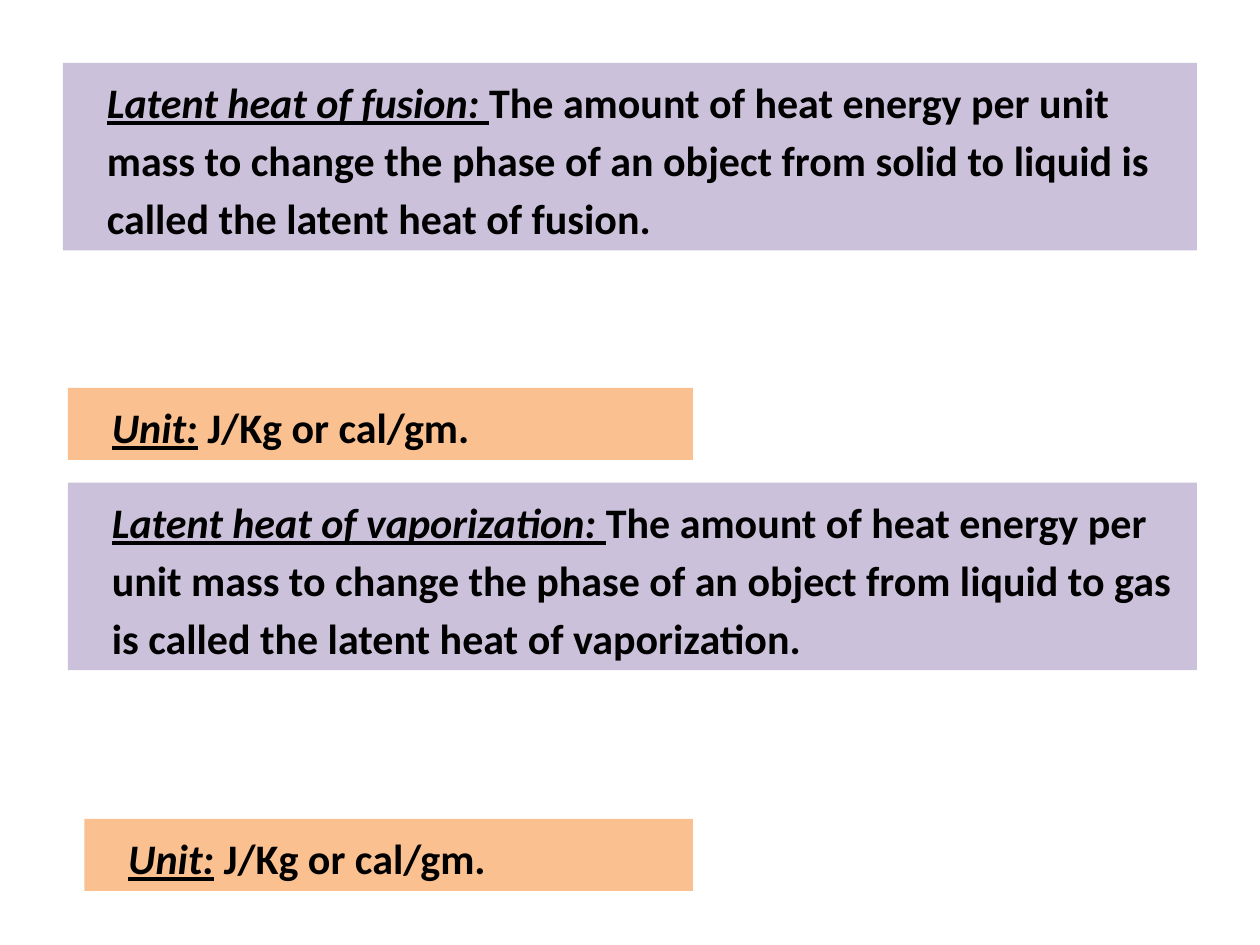
from typing import NamedTuple

from pptx import Presentation
from pptx.dml.color import RGBColor
from pptx.enum.text import MSO_AUTO_SIZE
from pptx.util import Cm, Pt

FIT_SHAPE = MSO_AUTO_SIZE.SHAPE_TO_FIT_TEXT
BLANK_LAYOUT = 6
LILAC, ORANGE, BLACK = "CCC1DA", "FAC090", "000000"
WIDE_RIGHT, UNIT_RIGHT = 24.13, 13.97
WIDE_HEIGHT, UNIT_HEIGHT = 3.78, 1.45
UNIT_TEXT = " J/Kg or cal/gm."


class Panel(NamedTuple):
    left: float
    top: float
    right: float
    height: float
    fill: str
    term: str
    text: str


def definition(left: float, top: float, process: str, change: str) -> Panel:
    text = (
        "The amount of heat energy per unit mass to change the phase of an object "
        f"from {change} is called the latent heat of {process}."
    )
    return Panel(left, top, WIDE_RIGHT, WIDE_HEIGHT, LILAC,
                 f"Latent heat of {process}: ", text)


def unit(left: float, top: float) -> Panel:
    return Panel(left, top, UNIT_RIGHT, UNIT_HEIGHT, ORANGE, "Unit:", UNIT_TEXT)


PANELS = [
    definition(1.27, 1.27, "fusion", "solid to liquid"),
    unit(1.37, 7.82),
    definition(1.37, 9.73, "vaporization", "liquid to gas"),
    unit(1.7, 16.51),
]


def color(value: str) -> RGBColor:
    return RGBColor.from_string(value)


def add_text(p, text: str, *, size: float = 24, font: str = "Calibri",
             fill: str = BLACK, bold: bool = True, italic: bool = False,
             underline: bool = False) -> None:
    r = p.add_run()
    r.text = text
    r.font.size = Pt(size)
    r.font.name = font
    r.font.color.rgb = color(fill)
    r.font.bold = bold
    r.font.italic = italic
    r.font.underline = underline


def add_panel(s, panel: Panel) -> None:
    sp = s.shapes.add_textbox(Cm(panel.left), Cm(panel.top),
                              Cm(panel.right - panel.left), Cm(panel.height))
    sp.fill.solid()
    sp.fill.fore_color.rgb = color(panel.fill)
    tf = sp.text_frame
    tf.word_wrap = True
    tf.auto_size = FIT_SHAPE
    p = tf.paragraphs[0]
    p.line_spacing = 1.15
    p.space_after = Pt(10)
    pPr = p._p.get_or_add_pPr()
    pPr.set("marL", str(Pt(18)))
    pPr.set("indent", "0")
    add_text(p, panel.term, italic=True, underline=True)
    add_text(p, panel.text)


def main() -> None:
    prs = Presentation()
    prs.slide_width, prs.slide_height = Cm(25.4), Cm(19.05)
    s = prs.slides.add_slide(prs.slide_layouts[BLANK_LAYOUT])
    for panel in PANELS:
        add_panel(s, panel)
    prs.save("out.pptx")


if __name__ == "__main__":
    main()
